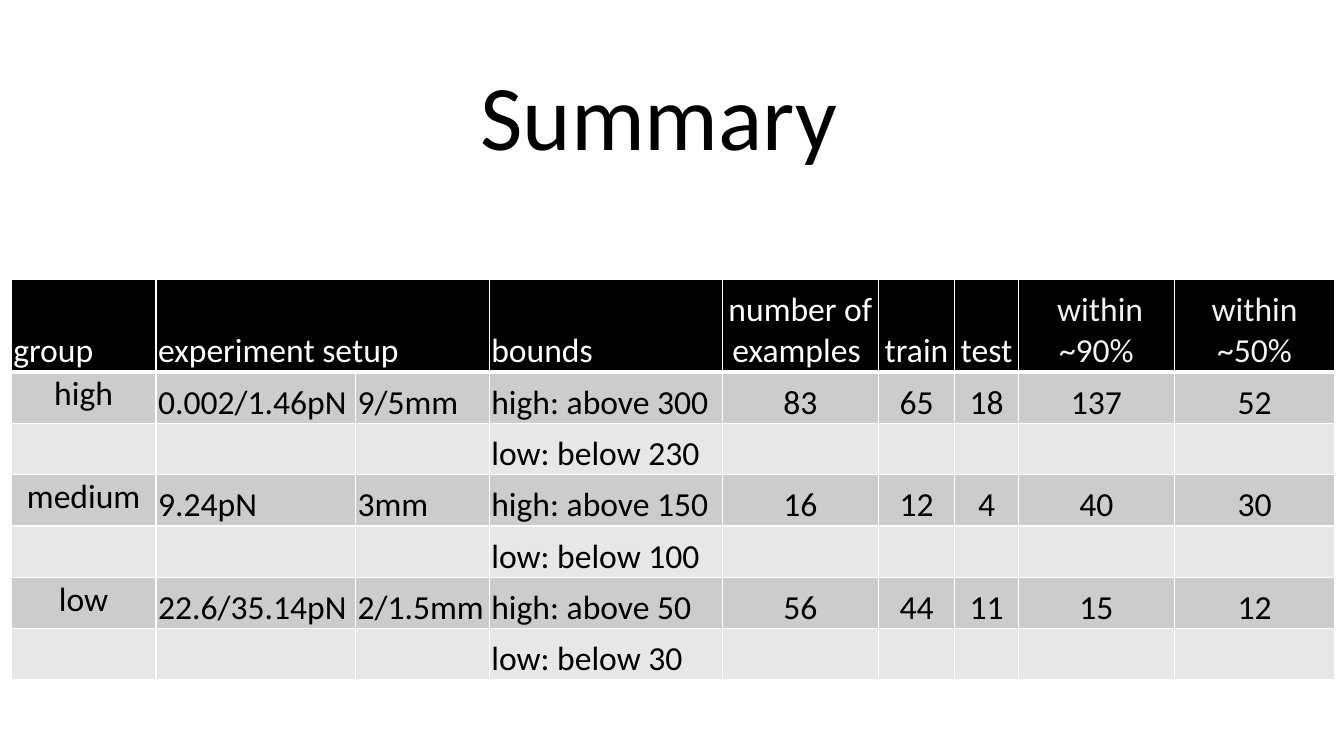
from lxml.etree import SubElement
from pptx import Presentation
from pptx.dml.color import RGBColor
from pptx.enum.text import MSO_ANCHOR, MSO_AUTO_SIZE, PP_ALIGN
from pptx.oxml.ns import qn
from pptx.util import Pt

BLACK = RGBColor(0x00, 0x00, 0x00)
WHITE = RGBColor(0xFF, 0xFF, 0xFF)
OFF_WHITE = RGBColor(0xF2, 0xF2, 0xF2)
DARK_BAND = RGBColor(0xCC, 0xCC, 0xCC)
LIGHT_BAND = RGBColor(0xE7, 0xE7, 0xE7)

COLUMN_WIDTHS = [103.5, 142.5, 95.5, 166.5, 111.5, 54.5, 45.5, 111.5, 114.5]
HEADER_HEIGHT, ROW_HEIGHT = 66.2, 36.7
HEADERS = ["group", "experiment setup", "", "bounds", "number of examples ",
           "train", "test", " within\n~90%", "within\n~50%"]
GROUPS = [
    ("high", "0.002/1.46pN", "9/5mm", 300, 230, (83, 65, 18, 137, 52)),
    ("medium", "9.24pN", "3mm", 150, 100, (16, 12, 4, 40, 30)),
    ("low", "22.6/35.14pN", "2/1.5mm", 50, 30, (56, 44, 11, 15, 12)),
]
FIRST_COUNT, FIRST_WITHIN = 4, 7


def apply_format(target, values):
    """Set each named attribute of the target."""
    for name, value in values.items():
        setattr(target, name, value)


def summary_rows():
    """Return the header followed by two rows for each group."""
    rows = [HEADERS]
    for group, force, distance, high, low, counts in GROUPS:
        rows.append([group, force, distance, f"high: above {high}", *map(str, counts)])
        rows.append(["", "", "", f"low: below {low}"] + [""] * len(counts))
    return rows


class SlideBuilder:
    """Hold the text style and the current slide."""

    def __init__(self, slide, font_name):
        """Keep the slide and its font."""
        self.slide = slide
        self.font_name = font_name

    def style_text(self, frame, size, color, alignment):
        """Format every paragraph of a text frame."""
        for paragraph in frame.paragraphs:
            paragraph.alignment = alignment
            for run in paragraph.runs:
                apply_format(run.font, {"name": self.font_name, "size": Pt(size)})
                run.font.color.rgb = color

    def add_title(self, text, left, top, width, height, size):
        """Add the slide heading."""
        shape = self.slide.shapes.add_textbox(Pt(left), Pt(top), Pt(width), Pt(height))
        frame = shape.text_frame
        apply_format(frame, {"text": text, "word_wrap": False,
                             "auto_size": MSO_AUTO_SIZE.SHAPE_TO_FIT_TEXT})
        self.style_text(frame, size, BLACK, PP_ALIGN.LEFT)

    def add_borders(self, cell, top, bottom):
        """Draw white borders around a cell."""
        properties = cell._tc.get_or_add_tcPr()
        for side, width in zip("LRTB", (1, 1, top, bottom)):
            line = SubElement(properties, qn(f"a:ln{side}"), w=str(Pt(width)))
            fill = SubElement(line, qn("a:solidFill"))
            SubElement(fill, qn("a:srgbClr"), val=str(WHITE))

    def format_cell(self, cell, row, column, text):
        """Fill one cell and set its text and borders."""
        is_header, is_group = row == 0, row > 0 and column == 0
        self.add_borders(cell, 3 if row == 1 else 1, 3 if is_header else 1)
        cell.fill.solid()
        cell.fill.fore_color.rgb = (BLACK if is_header else
                                    DARK_BAND if row % 2 else LIGHT_BAND)
        apply_format(cell, {
            "text": text,
            "margin_left": Pt(1.5), "margin_right": Pt(1.5),
            "margin_top": Pt(1.5), "margin_bottom": Pt(0),
            "vertical_anchor": MSO_ANCHOR.TOP if is_group else MSO_ANCHOR.BOTTOM,
        })
        header_color = OFF_WHITE if column >= FIRST_WITHIN else WHITE
        centred = is_group or column >= FIRST_COUNT
        self.style_text(cell.text_frame, 24, header_color if is_header else BLACK,
                        PP_ALIGN.CENTER if centred else PP_ALIGN.LEFT)

    def add_summary_table(self, rows, left, top):
        """Add the banded table of groups."""
        heights = [HEADER_HEIGHT] + [ROW_HEIGHT] * (len(rows) - 1)
        table = self.slide.shapes.add_table(
            len(rows), len(COLUMN_WIDTHS), Pt(left), Pt(top),
            Pt(sum(COLUMN_WIDTHS)), Pt(sum(heights))).table
        for column, width in zip(table.columns, COLUMN_WIDTHS):
            column.width = Pt(width)
        for row, height in zip(table.rows, heights):
            row.height = Pt(height)
        for row_index, texts in enumerate(rows):
            for column_index, text in enumerate(texts):
                self.format_cell(table.cell(row_index, column_index),
                                 row_index, column_index, text)
        table.cell(0, 1).merge(table.cell(0, 2))


presentation = Presentation()
apply_format(presentation, {"slide_width": Pt(960), "slide_height": Pt(540)})
builder = SlideBuilder(presentation.slides.add_slide(presentation.slide_layouts[6]), "Calibri")
builder.add_summary_table(summary_rows(), 8, 199.5)
builder.add_title("Summary ", 336, 38, 287.5, 87, 66)
presentation.save("out.pptx")
